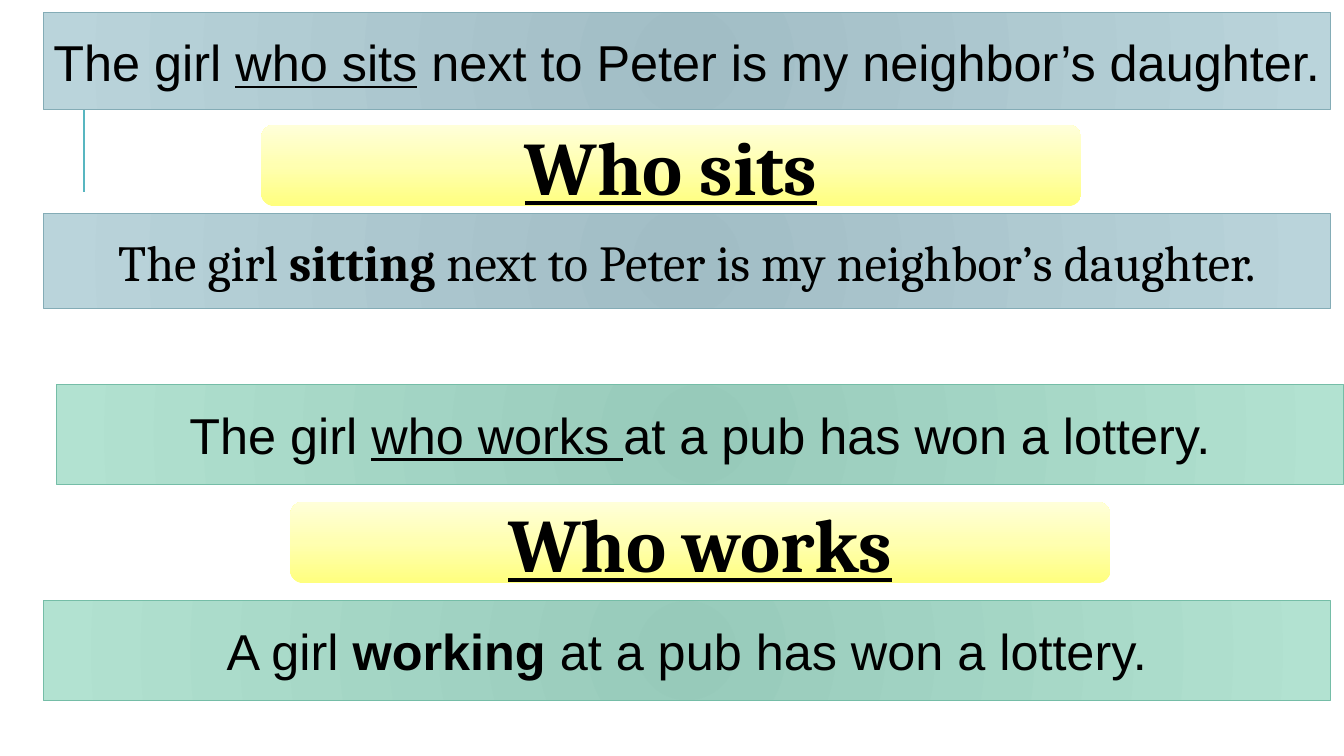
from dataclasses import dataclass

from pptx import Presentation, oxml
from pptx import util as u
from pptx.dml import color
from pptx.enum import shapes, text
from pptx.oxml import ns

Stops = tuple[tuple[int, str], ...]


@dataclass(frozen=True)
class Theme:
    ink: str = "000000"
    rule: str = "58B6C0"
    body: int = 36
    head: int = 54
    sans: str = "Arial"
    serif: str = "Cambria"


@dataclass(frozen=True)
class Look:
    stops: Stops
    edge: str = ""  # empty: no outline


@dataclass(frozen=True)
class Run:
    words: str
    bold: bool = False
    under: bool = False


@dataclass(frozen=True)
class Bar:
    """A sentence on a full-width band."""
    left: float
    top: float
    high: float
    look: Look
    face: str
    runs: tuple[Run, ...]


@dataclass(frozen=True)
class Tag:
    """A rounded heading between two bands."""
    left: float
    top: float
    words: str


THEME = Theme()
BLUE = Look(((0, "A1BDC5"), (100, "BAD4DB")), "84ACB6")
GREEN = Look(((0, "97CABA"), (100, "B2E2D1")), "75BDA7")
GOLD = Look(((0, "FFFF7E"), (50, "FFFFB1"), (100, "FFFFD9")))
ROUND = '<a:path path="circle"><a:fillToRect l="50000" t="50000" r="50000" b="50000"/></a:path>'
RISE = '<a:lin ang="16200000" scaled="0"/>'

EDGE, WIDE = 31, 919.4
TAG_WIDE, TAG_HIGH = 586, 58.3

BARS = (
    Bar(EDGE, 9.2, 69.4, BLUE, THEME.sans, (
        Run("The girl "), Run("who sits", under=True),
        Run(" next to Peter is my neighbor’s daughter."))),
    Bar(EDGE, 152.5, 67.6, BLUE, THEME.serif, (
        Run("The girl "), Run("sitting", bold=True),
        Run(" next to Peter is my neighbor’s daughter."))),
    Bar(40.4, 274.4, 71.5, GREEN, THEME.sans, (
        Run("The girl "), Run("who works ", under=True),
        Run("at a pub has won a lottery."))),
    Bar(EDGE, 429, 71.5, GREEN, THEME.sans, (
        Run("A girl "), Run("working", bold=True),
        Run(" at a pub has won a lottery."))),
)
TAGS = (Tag(186.5, 89, "Who sits"), Tag(207.2, 358.3, "Who works"))


def rgb(code: str) -> color.RGBColor:
    return color.RGBColor.from_string(code)


def shade(shape, stops: Stops, flow: str) -> None:
    """Fill with a gradient placed right after the geometry."""
    marks = "".join(f'<a:gs pos="{at * 1000}"><a:srgbClr val="{code}"/></a:gs>'
                    for at, code in stops)
    grad = oxml.parse_xml(f'<a:gradFill {ns.nsdecls("a")} rotWithShape="1">'
                          f'<a:gsLst>{marks}</a:gsLst>{flow}</a:gradFill>')
    shape._element.spPr.find(ns.qn("a:prstGeom")).addnext(grad)


def panel(slide, kind, box: tuple[float, ...], look: Look, flow: str,
          runs: tuple[Run, ...], face: str, size: int) -> None:
    shape = slide.shapes.add_shape(kind, *map(u.Pt, box))
    shape.shadow.inherit = False
    shade(shape, look.stops, flow)
    if look.edge:
        shape.line.color.rgb = rgb(look.edge)
        shape.line.width = u.Pt(0.75)
    else:
        shape.line.fill.background()
    frame = shape.text_frame
    frame.word_wrap = True
    frame.vertical_anchor = text.MSO_ANCHOR.MIDDLE
    para = frame.paragraphs[0]
    para.alignment = text.PP_ALIGN.CENTER
    para.font.name, para.font.size = face, u.Pt(size)
    para.font.color.rgb = rgb(THEME.ink)
    for item in runs:
        run = para.add_run()
        run.text = item.words
        if item.bold:
            run.font.bold = True
        if item.under:
            run.font.underline = True


def stem(slide) -> None:
    line = slide.shapes.add_connector(
        shapes.MSO_CONNECTOR.STRAIGHT, *map(u.Pt, (60, 136.8, 60, 64.8)))
    line.line.color.rgb = rgb(THEME.rule)
    line.line.width = u.Pt(1.5)
    line._element.spPr.append(oxml.parse_xml(f'<a:effectLst {ns.nsdecls("a")}/>'))


def main() -> None:
    deck = Presentation()
    deck.slide_width, deck.slide_height = u.Pt(960), u.Pt(540)
    slide = deck.slides.add_slide(deck.slide_layouts[6])

    # Vertical rule, behind the first band
    stem(slide)

    # Sentence bands
    for bar in BARS:
        panel(slide, shapes.MSO_SHAPE.RECTANGLE, (bar.left, bar.top, WIDE, bar.high),
              bar.look, ROUND, bar.runs, bar.face, THEME.body)

    # Headings
    for tag in TAGS:
        panel(slide, shapes.MSO_SHAPE.ROUNDED_RECTANGLE,
              (tag.left, tag.top, TAG_WIDE, TAG_HIGH), GOLD, RISE,
              (Run(tag.words, bold=True, under=True),), THEME.serif, THEME.head)

    deck.save("out.pptx")


if __name__ == "__main__":
    main()
